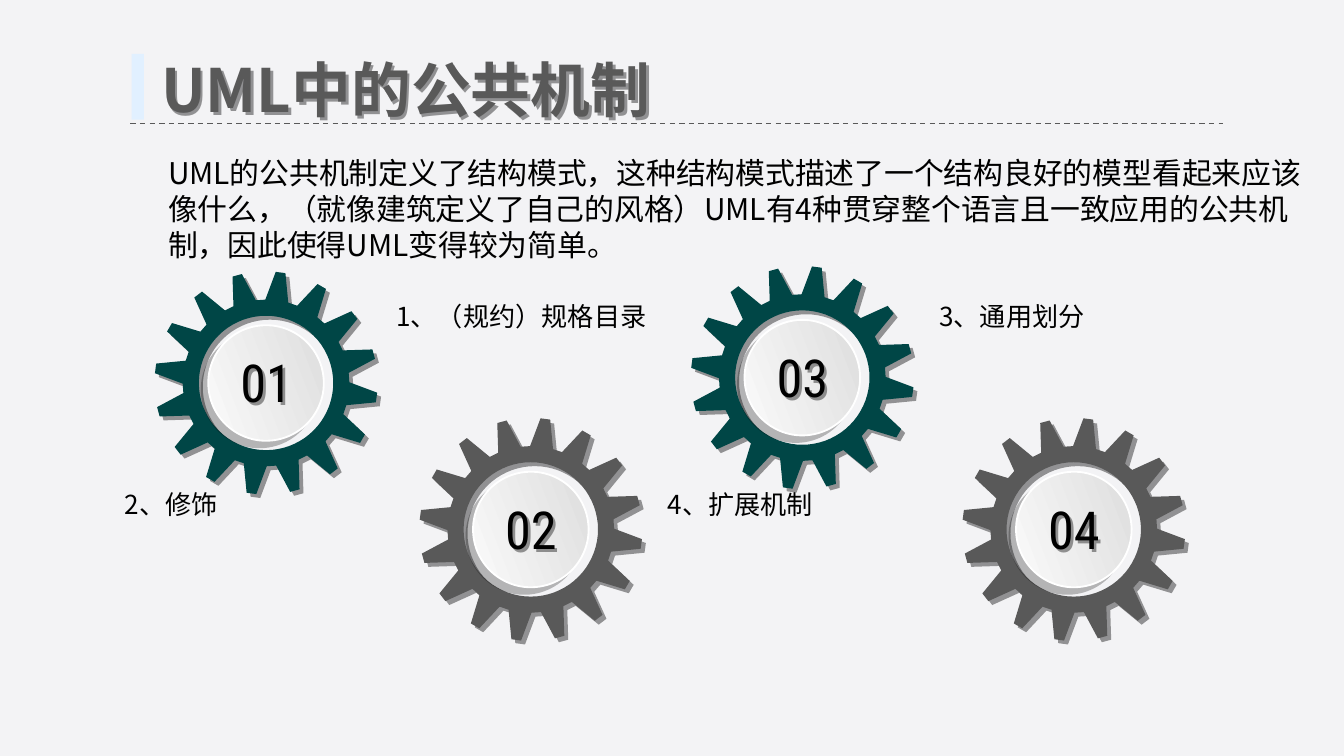
from dataclasses import dataclass
from math import cos, pi, radians, sin

from lxml.etree import SubElement
from pptx import Presentation
from pptx.dml.color import RGBColor
from pptx.enum.dml import MSO_LINE
from pptx.enum.shapes import MSO_CONNECTOR, MSO_SHAPE
from pptx.enum.text import MSO_ANCHOR, MSO_AUTO_SIZE, PP_ALIGN
from pptx.oxml.ns import qn
from pptx.util import Inches, Pt


@dataclass(frozen=True)
class Theme:
    back: str = "F3F3F5"
    bar: str = "E1F0FF"
    gray: str = "595959"
    teal: str = "004646"
    ink: str = "000000"
    light: str = "FFFFFF"
    dim: str = "D9D9D9"
    font: str = "Noto Sans CJK SC"
    digit: str = "Roboto Condensed"
    title: int = 32
    body: int = 16
    label: int = 14
    number: int = 28


THEME = Theme()
TEETH = 16
LABEL = {"alignment": PP_ALIGN.JUSTIFY, "line_spacing": Pt(12)}
ITEMS = [  # number, gear left and top, colour, label, label left and top
    ("01", 1.15, 2.02, THEME.teal, "1、（规约）规格目录", 2.85, 2.25),
    ("03", 5.14, 1.98, THEME.teal, "3、通用划分", 6.89, 2.25),
    ("02", 3.12, 3.11, THEME.gray, "2、修饰", 0.83, 3.65),
    ("04", 7.16, 3.11, THEME.gray, "4、扩展机制", 4.87, 3.65),
]


def color(code):
    return RGBColor.from_string(code)


def box(*sides):
    return [Inches(side) for side in sides]


def assign(item, values):
    for name, value in values.items():
        setattr(item, name, value)


def shadow(shape, alpha, dist, angle):
    shape.shadow.inherit = False
    effects = shape._element.spPr.find(qn("a:effectLst"))
    shade = SubElement(effects, qn("a:outerShdw"), blurRad="0",
                       dist=str(Pt(dist)), dir=str(angle * 60000),
                       algn="tl", rotWithShape="0")
    tint = SubElement(shade, qn("a:srgbClr"), val=THEME.ink)
    SubElement(tint, qn("a:alpha"), val=str(alpha * 1000))


def write(shape, text, size, form, face=THEME.font, ink=THEME.ink,
          bold=False):
    frame = shape.text_frame
    assign(frame, {"word_wrap": True, "auto_size": MSO_AUTO_SIZE.NONE,
                   "vertical_anchor": MSO_ANCHOR.TOP})
    para = frame.paragraphs[0]
    assign(para, {"space_before": Pt(0), **form})
    run = para.add_run()
    run.text = text
    assign(run.font, {"size": Pt(size), "name": face, "bold": bold})
    run.font.color.rgb = color(ink)
    SubElement(run._r.get_or_add_rPr(), qn("a:ea"), typeface=face)
    return para


def place(shape, *sides):
    assign(shape, dict(zip(("left", "top", "width", "height"), box(*sides))))


def header(slide, left, top, width):
    bar = slide.shapes.add_shape(MSO_SHAPE.RECTANGLE,
                                 *box(left + 0.01, top + 0.06, 0.09, 0.49))
    bar.fill.solid()
    bar.fill.fore_color.rgb = color(THEME.bar)
    bar.line.fill.background()
    bar.shadow.inherit = False
    rule = slide.shapes.add_connector(
        MSO_CONNECTOR.STRAIGHT,
        *box(left, top + 0.58, left + width, top + 0.58))
    assign(rule.line, {"width": Pt(0.75), "dash_style": MSO_LINE.DASH})
    rule.line.color.rgb = color(THEME.gray)
    SubElement(rule._element.spPr, qn("a:effectLst"))
    title = slide.shapes.title
    place(title, left + 0.13, top, 4.53, 0.64)
    write(title, "UML中的公共机制", THEME.title,
          {"alignment": PP_ALIGN.LEFT, "line_spacing": Pt(38.6)},
          ink=THEME.gray, bold=True)
    shadow(title, 40, 2, 45)


def intro(slide, *sides):
    body = slide.placeholders[1]
    place(body, *sides)
    para = write(
        body, "UML的公共机制定义了结构模式，这种结构模式描述了一个结构良好的模型"
        "看起来应该像什么，（就像建筑定义了自己的风格）UML有4种贯穿整个语言且"
        "一致应用的公共机制，因此使得UML变得较为简单。",
        THEME.body, {"alignment": PP_ALIGN.LEFT, "line_spacing": Pt(19.3)})
    props = para._p.get_or_add_pPr()
    for name in ("marL", "indent"):
        props.set(name, "0")
    SubElement(props, qn("a:buNone"))


def polar(mid, radius, angle):
    """Point at an angle in degrees, clockwise from the top."""
    turn = radians(angle)
    return (Inches(mid[0] + radius * sin(turn)),
            Inches(mid[1] - radius * cos(turn)))


def wheel(shapes, mid, fill):
    """Toothed ring with a round hole."""
    pitch = 360 / TEETH
    tooth = [(0.62, -8), (0.83, -2.5), (0.83, 2.5), (0.62, 8)]
    rim = [polar(mid, radius, 7.5 + pitch * step + shift)
           for step in range(TEETH) for radius, shift in tooth]
    hole = [polar(mid, 0.5, -angle) for angle in range(0, 360, 5)]
    pen = shapes.build_freeform(*rim[0])
    pen.add_line_segments(rim[1:])
    pen.move_to(*hole[0])
    pen.add_line_segments(hole[1:])
    ring = pen.convert_to_shape()
    ring.fill.solid()
    ring.fill.fore_color.rgb = color(fill)
    ring.line.fill.background()
    shadow(ring, 40, 3, 45)


def gear(slide, left, top, fill, number):
    shapes = slide.shapes.add_group_shape().shapes
    wheel(shapes, (left + 0.83, top + 0.83), fill)
    disc = shapes.add_shape(MSO_SHAPE.OVAL,
                            *box(left + 0.4, top + 0.4, 0.86, 0.86))
    disc.rotation = 336.2
    disc.fill.gradient()
    disc.fill.gradient_angle = 21
    disc._element.spPr.find(qn("a:gradFill")).set("rotWithShape", "0")
    for stop, tone in zip(disc.fill.gradient_stops, (THEME.light, THEME.dim)):
        stop.color.rgb = color(tone)
    disc.line.color.rgb = color(THEME.light)
    disc.line.width = Pt(1)
    shadow(disc, 26, 5, 135)
    text = shapes.add_textbox(*box(left + 0.49, top + 0.54, 0.68, 0.57))
    write(text, number, THEME.number, {"alignment": PP_ALIGN.CENTER},
          face=THEME.digit)
    shadow(text, 40, 2, 45)


def main():
    deck = Presentation()
    wide = Inches(10)
    assign(deck, {"slide_width": wide, "slide_height": wide * 9 // 16})
    slide = deck.slides.add_slide(deck.slide_layouts[1])
    slide.background.fill.solid()
    slide.background.fill.fore_color.rgb = color(THEME.back)
    header(slide, 0.97, 0.34, 8.13)
    intro(slide, 1.15, 1.1, 8.65, 0.9)
    for number, left, top, fill, label, side, head in ITEMS:
        note = slide.shapes.add_textbox(*box(side, head, 2.2, 0.27))
        write(note, label, THEME.label, LABEL)
        gear(slide, left, top, fill, number)
    deck.save("out.pptx")


if __name__ == "__main__":
    main()
